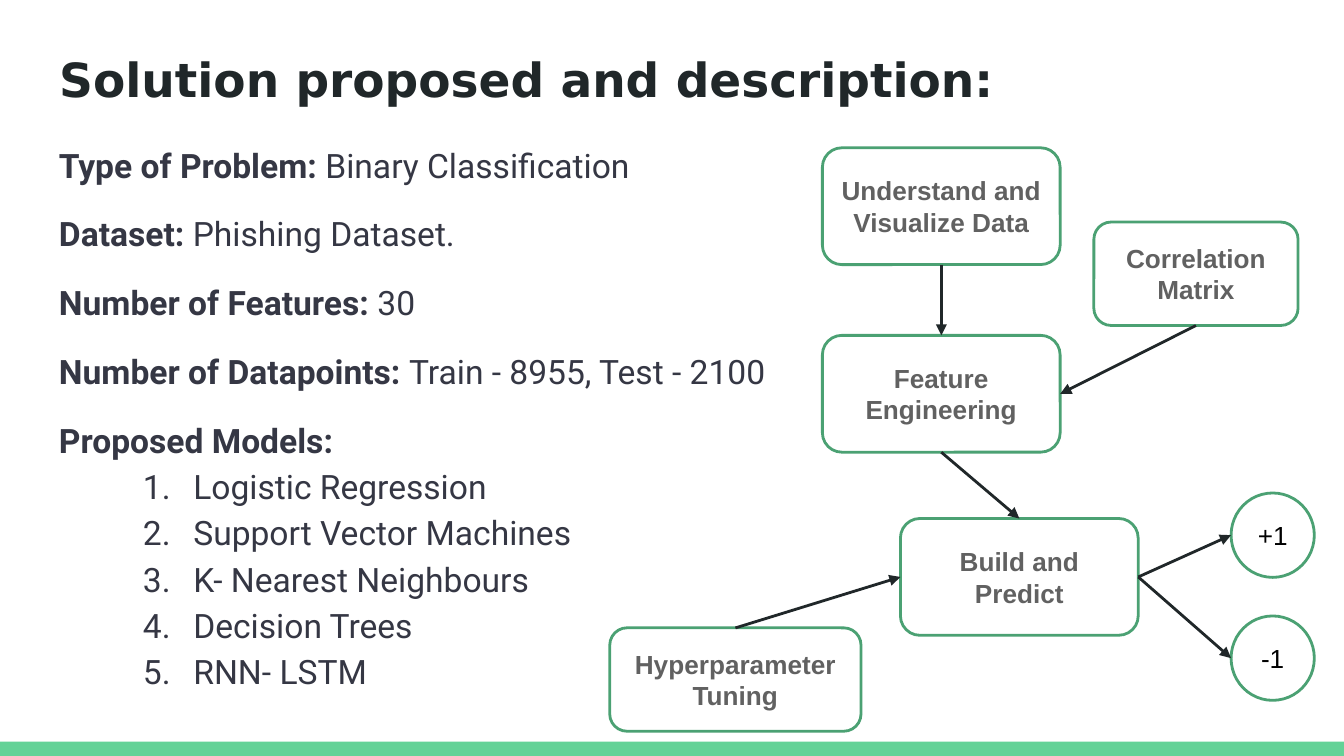
from dataclasses import dataclass
from typing import Optional

from lxml.etree import SubElement
from pptx import Presentation
from pptx.dml.color import RGBColor
from pptx.enum.shapes import MSO_CONNECTOR, MSO_SHAPE
from pptx.enum.text import MSO_ANCHOR, MSO_AUTO_SIZE, PP_ALIGN
from pptx.oxml.ns import qn
from pptx.util import Pt

WHITE = RGBColor(0xFF, 0xFF, 0xFF)
BLACK = RGBColor(0x00, 0x00, 0x00)
INK = RGBColor(0x20, 0x27, 0x29)
BODY = RGBColor(0x35, 0x37, 0x44)
GREY = RGBColor(0x61, 0x61, 0x61)
GREEN = RGBColor(0x4B, 0xA1, 0x73)
LIGHT_GREEN = RGBColor(0x63, 0xD2, 0x97)

TITLE_FONT = {"name": "DejaVu Sans", "size": Pt(25.2), "bold": True}
BODY_FONT = {"name": "Roboto", "size": Pt(18)}
STEP_FONT = {"name": "Arial", "size": Pt(14), "bold": True}
RESULT_FONT = {"name": "Arial", "size": Pt(14), "bold": False}
INSETS = {f"margin_{side}": Pt(7.2) for side in ("left", "top", "right", "bottom")}
FRAME = {"word_wrap": True, "auto_size": MSO_AUTO_SIZE.NONE, **INSETS}

TOP, LEFT, BOTTOM, RIGHT = range(4)


@dataclass(frozen=True)
class Node:
    text: str
    left: float
    top: float
    width: float = 127.4
    height: float = 62.6
    is_result: bool = False


@dataclass(frozen=True)
class Arrow:
    start: str
    start_side: int
    end: str
    end_side: int


NODES = [
    Node("Understand and Visualize Data", 440.6, 79.2),
    Node("Feature Engineering", 440.6, 179.7),
    Node("Build and Predict", 482.4, 277.8),
    Node("Hyperparameter Tuning", 326.7, 336.4, 134.6, 55.4),
    Node("Correlation Matrix", 586, 119, 109.4, 55.4),
    Node("+1", 659.5, 264.1, 44.6, 45.2, True),
    Node("-1", 659.5, 330, 44.6, 45.2, True),
]
ARROWS = [
    Arrow("Understand and Visualize Data", BOTTOM, "Feature Engineering", TOP),
    Arrow("Feature Engineering", BOTTOM, "Build and Predict", TOP),
    Arrow("Build and Predict", RIGHT, "+1", LEFT),
    Arrow("Build and Predict", RIGHT, "-1", LEFT),
    Arrow("Hyperparameter Tuning", TOP, "Build and Predict", LEFT),
    Arrow("Correlation Matrix", BOTTOM, "Feature Engineering", RIGHT),
]
FACTS = [
    ("Type of Problem: ", "Binary Classification"),
    ("Dataset: ", "Phishing Dataset."),
    ("Number of Features: ", "30"),
    ("Number of Datapoints: ", "Train - 8955, Test - 2100"),
    ("Proposed Models:", ""),
]
MODELS = [
    "Logistic Regression",
    "Support Vector Machines",
    "K- Nearest Neighbours",
    "Decision Trees",
    "RNN- LSTM",
]


def set_values(target, values: dict) -> None:
    for name, value in values.items():
        setattr(target, name, value)


def add_run(paragraph, text: str, font: dict, color: RGBColor) -> None:
    run = paragraph.add_run()
    run.text = text
    set_values(run.font, font)
    run.font.color.rgb = color


def add_title(slide, text: str) -> None:
    title = slide.shapes.title
    set_values(title, {"left": Pt(24.5), "top": Pt(15.1), "width": Pt(671), "height": Pt(45.4)})
    set_values(title.text_frame, {**FRAME, "vertical_anchor": MSO_ANCHOR.TOP})
    paragraph = title.text_frame.paragraphs[0]
    set_values(paragraph, {"alignment": PP_ALIGN.LEFT, "line_spacing": 1.15, "space_before": Pt(0)})
    add_run(paragraph, text, TITLE_FONT, INK)


def number_paragraph(paragraph) -> None:
    properties = paragraph._p.get_or_add_pPr()
    properties.set("marL", str(Pt(72)))
    properties.set("indent", str(Pt(-27)))
    SubElement(properties, qn("a:buAutoNum"), type="arabicPeriod")


def add_body(slide) -> None:
    text_frame = slide.shapes.add_textbox(Pt(24.5), Pt(67), Pt(423.4), Pt(319.7)).text_frame
    set_values(text_frame, FRAME)
    for index, (label, value) in enumerate(FACTS):
        paragraph = text_frame.add_paragraph() if index else text_frame.paragraphs[0]
        set_values(paragraph, {"line_spacing": 1.15, "space_before": Pt(12 if index else 0)})
        add_run(paragraph, label, {**BODY_FONT, "bold": True}, BODY)
        if value:
            add_run(paragraph, value, {**BODY_FONT, "bold": False}, BODY)
    for model in MODELS:
        paragraph = text_frame.add_paragraph()
        set_values(paragraph, {"line_spacing": 1.15, "space_before": Pt(0)})
        number_paragraph(paragraph)
        add_run(paragraph, model, {**BODY_FONT, "bold": False}, BODY)


def add_filled_shape(slide, kind, left: float, top: float, width: float, height: float,
                     fill: RGBColor, line: Optional[RGBColor] = None):
    shape = slide.shapes.add_shape(kind, Pt(left), Pt(top), Pt(width), Pt(height))
    shape.shadow.inherit = False
    shape.fill.solid()
    shape.fill.fore_color.rgb = fill
    if line is None:
        shape.line.fill.background()
    else:
        shape.line.color.rgb = line
        shape.line.width = Pt(1.5)
    return shape


def add_node(slide, node: Node):
    kind = MSO_SHAPE.OVAL if node.is_result else MSO_SHAPE.ROUNDED_RECTANGLE
    shape = add_filled_shape(slide, kind, node.left, node.top, node.width, node.height, WHITE, GREEN)
    set_values(shape.text_frame, {**FRAME, "vertical_anchor": MSO_ANCHOR.MIDDLE})
    paragraph = shape.text_frame.paragraphs[0]
    paragraph.alignment = PP_ALIGN.CENTER
    font, color = (RESULT_FONT, BLACK) if node.is_result else (STEP_FONT, GREY)
    add_run(paragraph, node.text, font, color)
    return shape


def side_middle(shape, side: int) -> tuple[int, int]:
    across, down = {TOP: (1, 0), LEFT: (0, 1), BOTTOM: (1, 2), RIGHT: (2, 1)}[side]
    return shape.left + shape.width * across // 2, shape.top + shape.height * down // 2


def add_arrow(slide, arrow: Arrow, shapes: dict) -> None:
    start, end = shapes[arrow.start], shapes[arrow.end]
    connector = slide.shapes.add_connector(
        MSO_CONNECTOR.STRAIGHT,
        *side_middle(start, arrow.start_side),
        *side_middle(end, arrow.end_side),
    )
    connector.begin_connect(start, arrow.start_side)
    if end.auto_shape_type == MSO_SHAPE.ROUNDED_RECTANGLE:
        connector.end_connect(end, arrow.end_side)
    connector.line.color.rgb = INK
    connector.line.width = Pt(1.5)
    SubElement(connector.line._get_or_add_ln(), qn("a:tailEnd"), type="triangle")
    SubElement(connector._element.spPr, qn("a:effectLst"))


def main() -> None:
    presentation = Presentation()
    set_values(presentation, {"slide_width": Pt(720), "slide_height": Pt(405)})
    slide = presentation.slides.add_slide(presentation.slide_layouts.get_by_name("Title Only"))
    add_filled_shape(slide, MSO_SHAPE.RECTANGLE, 0, 397.4, 720, 7.6, LIGHT_GREEN)
    add_title(slide, "Solution proposed and description:")
    add_body(slide)
    shapes = {node.text: add_node(slide, node) for node in NODES}
    for arrow in ARROWS:
        add_arrow(slide, arrow, shapes)
    presentation.save("out.pptx")


if __name__ == "__main__":
    main()
